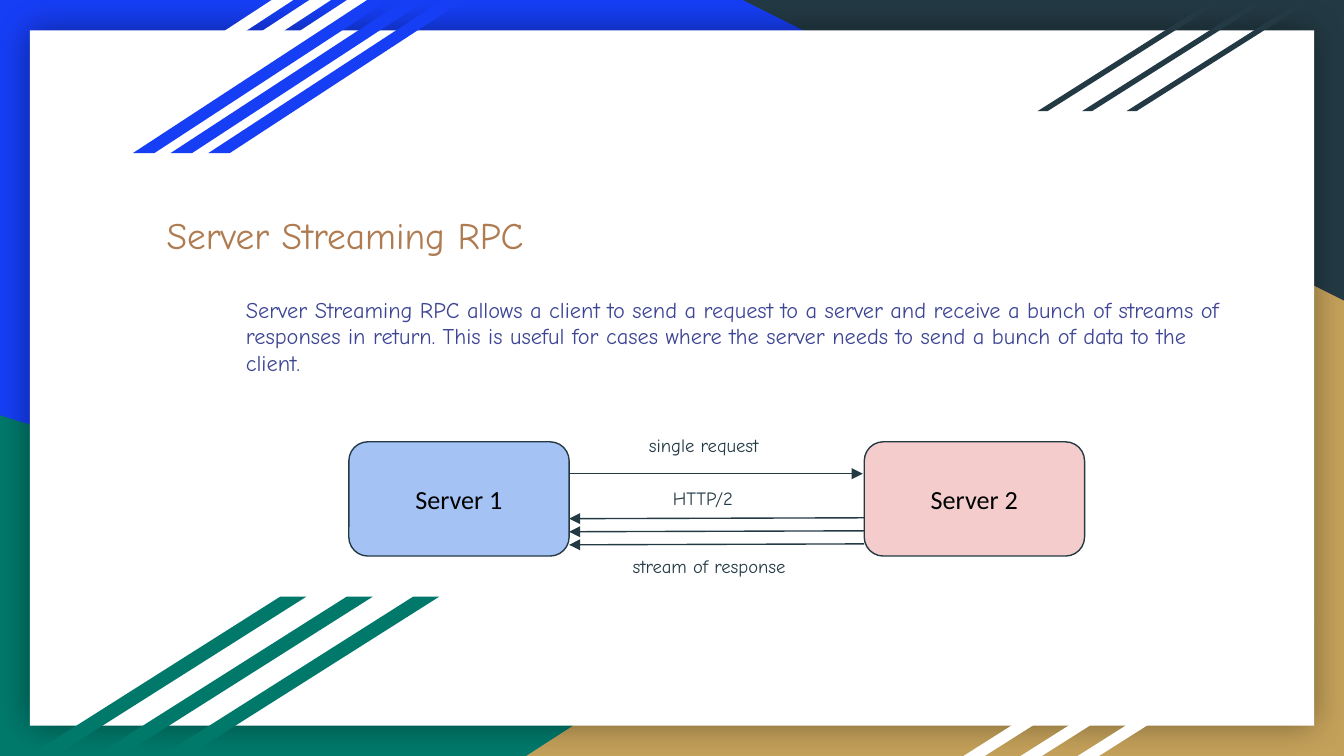
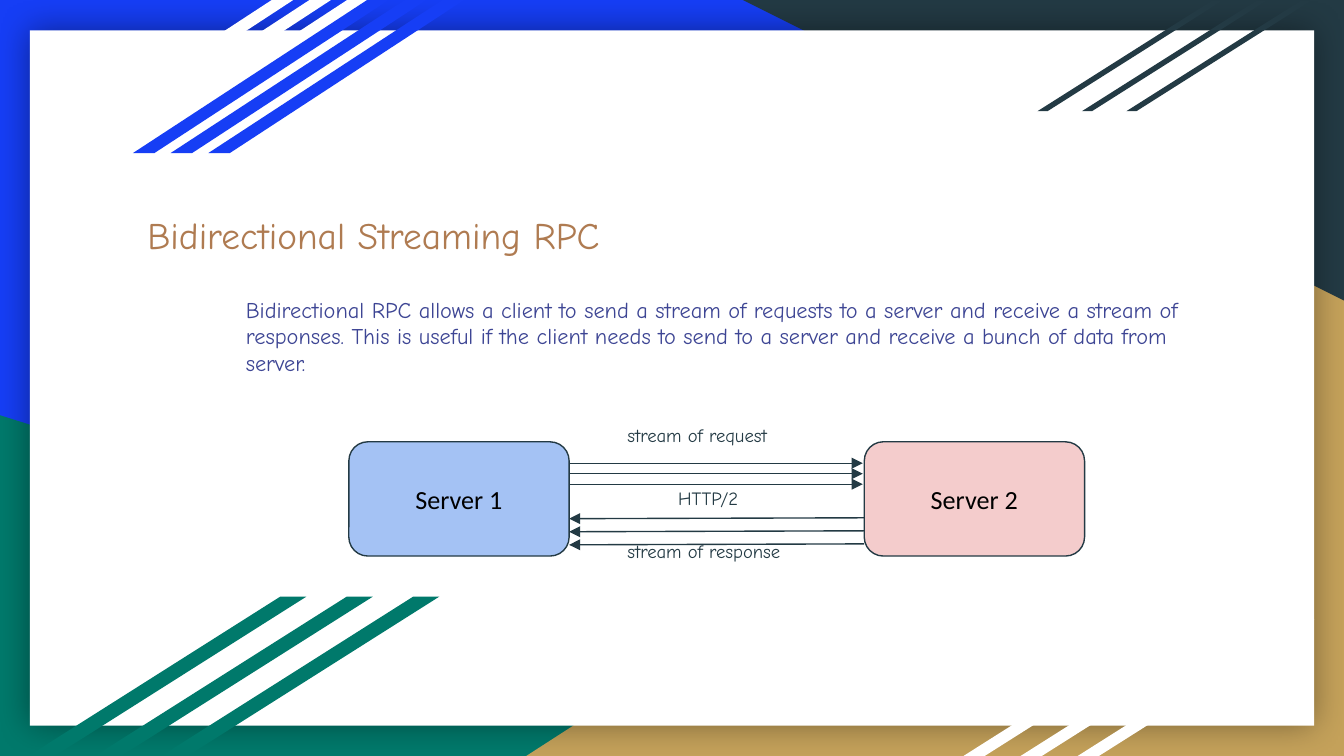
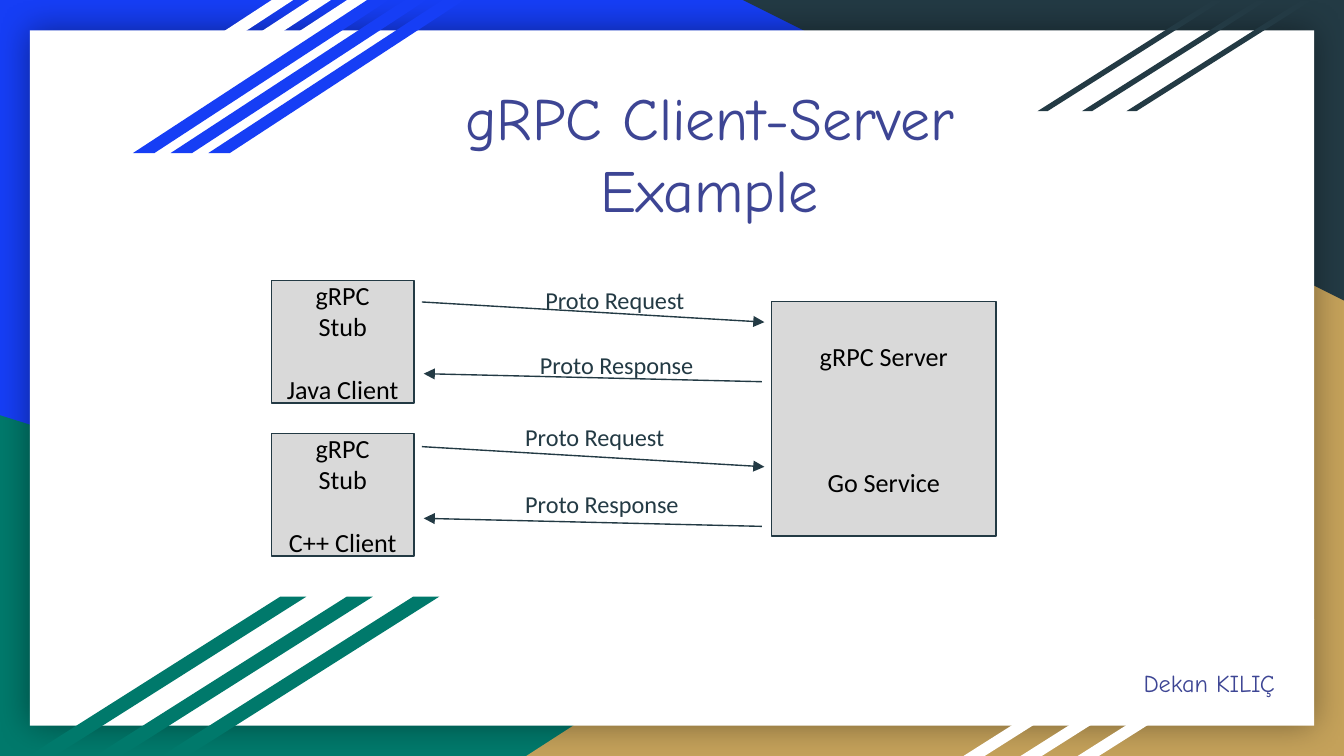
from dataclasses import dataclass

from lxml import etree
from pptx import Presentation
from pptx.dml.color import RGBColor
from pptx.enum.shapes import MSO_CONNECTOR, MSO_SHAPE
from pptx.enum.text import MSO_ANCHOR, MSO_AUTO_SIZE, PP_ALIGN
from pptx.oxml.ns import qn
from pptx.util import Pt

LEFT, CENTER = PP_ALIGN.LEFT, PP_ALIGN.CENTER
TOP, MIDDLE = MSO_ANCHOR.TOP, MSO_ANCHOR.MIDDLE
GROW, FIXED = MSO_AUTO_SIZE.SHAPE_TO_FIT_TEXT, MSO_AUTO_SIZE.NONE
RECTANGLE, ROUNDED = MSO_SHAPE.RECTANGLE, MSO_SHAPE.ROUNDED_RECTANGLE
TRIANGLE, PARALLELOGRAM = MSO_SHAPE.RIGHT_TRIANGLE, MSO_SHAPE.PARALLELOGRAM
STRAIGHT = MSO_CONNECTOR.STRAIGHT


@dataclass(frozen=True)
class Theme:
    blue: str = "163EF5"
    green: str = "00796B"
    sand: str = "C4A15A"
    dark: str = "233A44"
    white: str = "FFFFFF"
    black: str = "000000"
    brown: str = "AF7B51"
    indigo: str = "3D4594"
    sky: str = "A4C2F4"
    pink: str = "F4CCCC"
    gray: str = "D9D9D9"
    hand: str = "Comic Neue"
    plain: str = "Calibri"
    headline: int = 32
    title: int = 20
    node: int = 14
    caption: int = 13
    body: int = 12
    label: int = 10
    line: float = 0.75
    inset: float = 7.2


THEME = Theme()
TITLE_STYLE = (THEME.hand, THEME.title, THEME.brown)
HEADLINE_STYLE = (THEME.hand, THEME.headline, THEME.indigo)
BODY_STYLE = (THEME.hand, THEME.body, THEME.indigo)
LABEL_STYLE = (THEME.hand, THEME.label, THEME.dark)
AUTHOR_STYLE = (THEME.hand, THEME.caption, THEME.indigo)
PROTO_STYLE = (THEME.plain, THEME.caption, THEME.dark)
NODE_STYLE = (THEME.plain, THEME.node, THEME.black)


def rgb(color):
    return RGBColor.from_string(color)


def set_all(target, formats):
    for name, value in formats.items():
        setattr(target, name, value)


def place(box, bounds):
    set_all(box, dict(zip(("left", "top", "width", "height"), map(Pt, bounds))))


def write(box, lines, style, align=LEFT, anchor=TOP, size=GROW, gap=0):
    """Fill a box with one paragraph per line; gap is the space above the last one."""
    font, points, color = style
    frame = box.text_frame
    sides = ("margin_left", "margin_top", "margin_right", "margin_bottom")
    set_all(frame, dict.fromkeys(sides, Pt(THEME.inset)))
    set_all(frame, {"word_wrap": True, "auto_size": size, "vertical_anchor": anchor})
    for index, line in enumerate(lines):
        para = frame.add_paragraph() if index else frame.paragraphs[0]
        para.alignment = align
        span = para.add_run()
        span.text = line
        set_all(span.font, {"name": font, "size": Pt(points)})
        span.font.color.rgb = rgb(color)
    if gap:
        para.space_before = Pt(gap)


def add_filled(shapes, kind, bounds, color):
    shape = shapes.add_shape(kind, *map(Pt, bounds))
    shape.shadow.inherit = False
    shape.fill.solid()
    shape.fill.fore_color.rgb = rgb(color)
    shape.line.fill.background()
    return shape


def add_node(page, kind, bounds, color, lines, gap=0):
    node = add_filled(page.shapes, kind, bounds, color)
    node.line.width = Pt(THEME.line)
    node.line.color.rgb = rgb(THEME.dark)
    write(node, lines, NODE_STYLE, CENTER, MIDDLE, FIXED, gap)


def add_text(page, text, bounds, style):
    box = page.shapes.add_textbox(*map(Pt, bounds))
    write(box, [text], style)
    return box


def add_arrow(page, x1, y1, x2, y2):
    arrow = page.shapes.add_connector(STRAIGHT, Pt(x1), Pt(y1), Pt(x2), Pt(y2))
    arrow.line.width = Pt(THEME.line)
    arrow.line.color.rgb = rgb(THEME.dark)
    properties = arrow.element.spPr
    head = etree.SubElement(properties.find(qn("a:ln")), qn("a:tailEnd"))
    head.set("type", "triangle")
    etree.SubElement(properties, qn("a:effectLst"))


def add_glow(shape, color, opacity, blur):
    effects = shape.element.spPr.find(qn("a:effectLst"))
    shadow = etree.SubElement(effects, qn("a:outerShdw"), blurRad=str(Pt(blur)), dist="0",
                              dir="0", algn="ctr", rotWithShape="0")
    tint = etree.SubElement(shadow, qn("a:srgbClr"), val=color)
    etree.SubElement(tint, qn("a:alpha"), val=str(opacity * 1000))


def add_stripes(page, bounds, step, slant, color):
    """Group three slanted bars, each one step further left."""
    left, top, width, height = bounds
    group = page.shapes.add_group_shape()
    for index in range(3):
        bar = (left - index * step, top, width, height)
        add_filled(group.shapes, PARALLELOGRAM, bar, color).adjustments[0] = slant


def dress_layout(layout, page):
    """Draw the shared frame on a page, then move it to the layout."""
    for holder in list(layout.placeholders)[1:]:
        holder.element.getparent().remove(holder.element)
    layout.background.fill.solid()
    layout.background.fill.fore_color.rgb = rgb(THEME.blue)

    add_filled(page.shapes, TRIANGLE, (0, 222.5, 580.5, 182.5), THEME.green)
    sand = add_filled(page.shapes, TRIANGLE, (282, 122.5, 438, 282.5), THEME.sand)
    sand.element.spPr.xfrm.set("flipH", "1")
    add_filled(page.shapes, TRIANGLE, (398, 0, 322, 161), THEME.dark).rotation = 180
    panel = add_filled(page.shapes, RECTANGLE, (16, 16.3, 688, 372.5), THEME.white)
    add_glow(panel, THEME.black, 40, 18)
    for bounds, step, slant, color in (
        ((60.5, 0, 137, 82), 20.2, 1.53, THEME.white),
        ((111.6, 0, 137, 82), 20.2, 1.53, THEME.blue),
        ((603.4, 0.6, 98.6, 59), 23.8, 1.58, THEME.dark),
        ((577.4, 332, 126.7, 73), 30.6, 1.58, THEME.white),
        ((87.1, 319.6, 148.3, 85), 35.6, 1.58, THEME.green),
    ):
        add_stripes(page, bounds, step, slant, color)

    for shape in list(page.shapes):
        if not shape.is_placeholder:
            layout.shapes.element.append(shape.element)


def set_title(page, text, bounds, style):
    title = page.shapes.title
    place(title, bounds)
    write(title, [text], style, CENTER)


def build_streaming(page, title, title_width, body, request_rows, labels):
    """Explain one kind of streaming; labels holds (text, left, top, width)."""
    set_title(page, title, (60.5, 106.6, title_width, 39), TITLE_STYLE)
    para = add_text(page, body, (88.6, 151.2, 578, 58.3), BODY_STYLE).text_frame.paragraphs[0]
    para._p.get_or_add_pPr().set("marL", str(Pt(36)))

    left, right, width = 186.9, 463, 118
    for number, (x, color) in enumerate(((left, THEME.sky), (right, THEME.pink)), 1):
        add_node(page, ROUNDED, (x, 236.7, width, 61.2), color, [f"Server {number}"])

    for row in range(request_rows):
        y = 253.8 + 5.6 * (row - (request_rows - 1) / 2)
        add_arrow(page, left + width, y, right - 0.8, y)
    for row in range(3):
        y = 277.4 + 7 * row
        add_arrow(page, right, y, left + width, y + 0.5)
    for text, x, y, label_width in labels:
        add_text(page, text, (x, y, label_width, 26.6), LABEL_STYLE)


def build_example(page):
    set_title(page, "gRPC Client-Server Example", (197.3, 36, 365.8, 92.2), HEADLINE_STYLE)
    add_node(page, RECTANGLE, (413.3, 161.6, 120.4, 125.6), THEME.gray,
             ["gRPC Server", "Go Service"], gap=51)
    clients = (
        ("Java Client", (285.1, 145.4), (282.2, 180.6)),
        ("C++ Client", (274.3, 219), (274.3, 255)),
    )
    for row, (client, request_at, response_at) in enumerate(clients):
        add_node(page, RECTANGLE, (145.4, 150.4 + 82 * row, 76.4, 65.6), THEME.gray,
                 ["gRPC", "Stub", client], gap=17)
        shift = 77.5 * row
        add_arrow(page, 226, 161.8 + shift, 409.5, 172.6 + shift)
        add_arrow(page, 408.2, 204.5 + shift, 227, 200.2 + shift)
        for text, (x, y) in (("Proto Request", request_at), ("Proto Response", response_at)):
            add_text(page, text, (x, y, 100.8, 30.2), PROTO_STYLE)
    add_text(page, "Dekan KILIÇ", (605.5, 350.6, 94.3, 30.2), AUTHOR_STYLE)


def main():
    deck = Presentation()
    set_all(deck, {"slide_width": Pt(720), "slide_height": Pt(405)})
    layout = deck.slide_layouts.get_by_name("Title Only")
    server, bidirectional, example = [deck.slides.add_slide(layout) for _ in range(3)]
    dress_layout(layout, server)

    build_streaming(
        server, "Server Streaming RPC", 249,
        "Server Streaming RPC allows a client to send a request to a server and receive "
        "a bunch of streams of responses in return. This is useful for cases where the "
        "server needs to send a bunch of data to the client.",
        1,
        (("single request", 340.6, 226.6, 122),
         ("stream of response", 331.8, 291.2, 122),
         ("HTTP/2", 353.4, 255, 73.4)),
    )
    build_streaming(
        bidirectional, "Bidirectional Streaming RPC", 279.4,
        "Bidirectional RPC allows a client to send a stream of requests to a server and "
        "receive a stream of responses. This is useful if the client needs to send to a "
        "server and receive a bunch of data from server.",
        3,
        (("stream of request", 329, 220.8, 122),
         ("stream of response", 329, 283.2, 122),
         ("HTTP/2", 356.2, 255, 73.4)),
    )
    build_example(example)
    deck.save("out.pptx")


if __name__ == "__main__":
    main()
